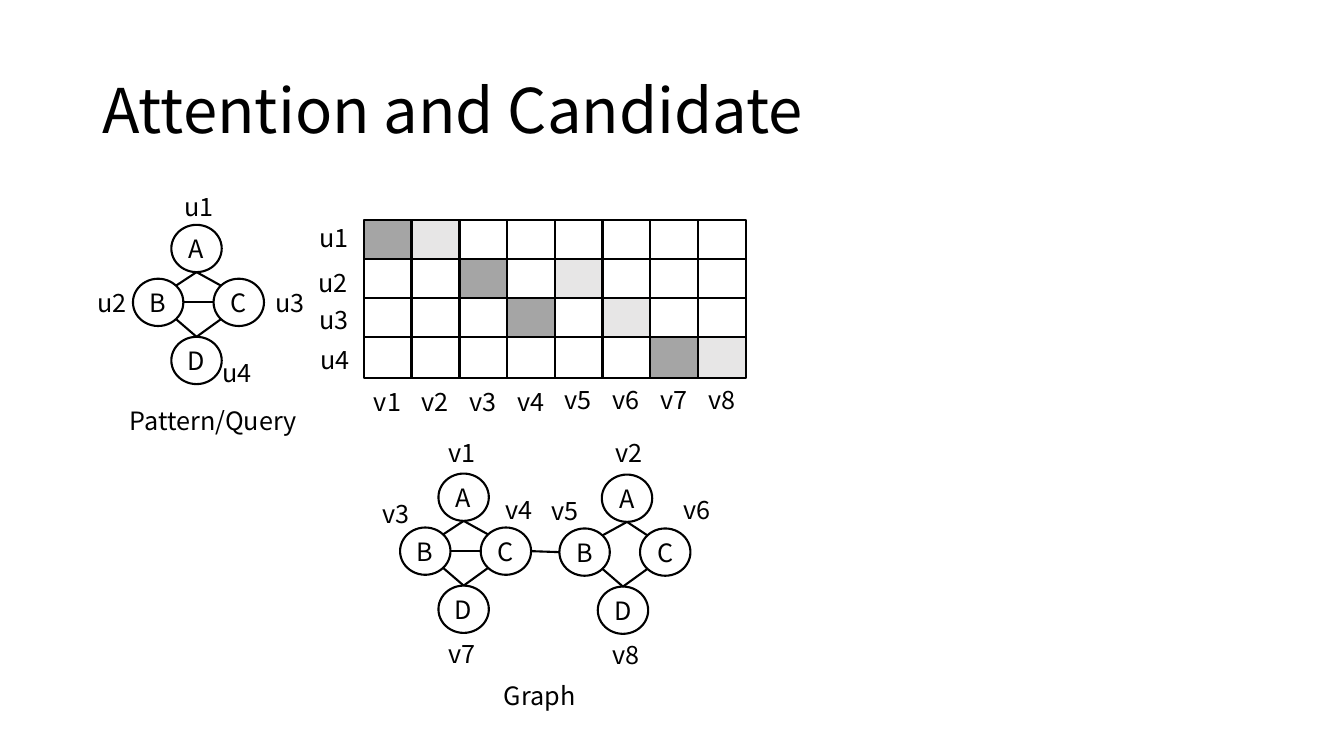
from dataclasses import dataclass
from math import sqrt

from lxml import etree
from pptx import Presentation
from pptx.dml.color import RGBColor
from pptx.enum.shapes import MSO_CONNECTOR, MSO_SHAPE
from pptx.enum.text import MSO_ANCHOR, MSO_AUTO_SIZE, PP_ALIGN
from pptx.oxml.ns import qn
from pptx.util import Pt

STRAIGHT = MSO_CONNECTOR.STRAIGHT
RECT, OVAL = MSO_SHAPE.RECTANGLE, MSO_SHAPE.OVAL
MIDDLE = MSO_ANCHOR.MIDDLE
LEFT, CENTER = PP_ALIGN.LEFT, PP_ALIGN.CENTER
NO_FIT, FIT_TEXT = MSO_AUTO_SIZE.NONE, MSO_AUTO_SIZE.SHAPE_TO_FIT_TEXT

FONT = "Noto Sans CJK SC"
BLACK, WHITE, DARK, LIGHT = "000000", "FFFFFF", "A5A5A5", "E7E6E6"
LINE_WIDTH = 1.5
NODE_W, NODE_H = 36, 33.8
CELL_W, CELL_H = 34, 28.8
GRID_LEFT, GRID_TOP, COL_STEP, ROW_STEP = 260, 157, 34.1, 28
ROWS, COLS = 4, 8

Point = tuple[float, float]


@dataclass
class Label:
    text: str
    left: float
    top: float
    width: float = 44.6


@dataclass
class Diamond:
    """Nodes A, B, C, D placed around the top left corner of D."""
    left: float
    top: float
    apex_shift: float = 0
    has_middle_edge: bool = True

    def corner(self, name: str) -> Point:
        dx, dy = {"A": (self.apex_shift, -80), "B": (-27.4, -41.5),
                  "C": (30.2, -41.5), "D": (0, 0)}[name]
        return self.left + dx, self.top + dy

    def site(self, name: str, x: int, y: int) -> Point:
        """Point on a node's outline in direction x, y (each -1, 0 or 1)."""
        left, top = self.corner(name)
        reach = 0.5 / sqrt(x * x + y * y)
        return left + NODE_W * (0.5 + x * reach), top + NODE_H * (0.5 + y * reach)


# Attention weights by (row, column)
SHADES = {(0, 0): DARK, (1, 2): DARK, (2, 3): DARK, (3, 6): DARK,
          (0, 1): LIGHT, (1, 4): LIGHT, (2, 5): LIGHT, (3, 7): LIGHT}

QUERY = Diamond(122.4, 240.6)
GRAPH_LEFT = Diamond(313.2, 418.3)
GRAPH_RIGHT = Diamond(427, 419, 2.9, False)

LABELS = [
    # Query
    Label("u1", 124.6, 133.2), Label("u2", 62.6, 201.6),
    Label("u3", 189.4, 201.6), Label("u4", 151.9, 252),
    Label("Pattern/Query", 85.7, 285.8, 134),
    # Graph
    Label("v1", 313.2, 308.9), Label("v2", 432.7, 308.9),
    Label("v3", 266.4, 352.1), Label("v4", 354.2, 349.9),
    Label("v5", 386.6, 350.6), Label("v6", 481, 349.2),
    Label("v7", 313.2, 452.2), Label("v8", 430.6, 452.9),
    Label("Graph", 352.8, 482.4, 134),
    # Matrix rows
    Label("u1", 221, 155.5), Label("u2", 220.3, 187.2),
    Label("u3", 221, 213.8), Label("u4", 221.8, 242.6),
]
# Matrix columns
LABELS += [Label(f"v{i + 1}", GRID_LEFT + COL_STEP * i, 272.5 if i < 4 else 270.7)
           for i in range(COLS)]


def color(value: str) -> RGBColor:
    return RGBColor.from_string(value)


def set_font(p, size: float) -> None:
    p.font.name = FONT
    p.font.size = Pt(size)
    p.font.color.rgb = color(BLACK)


def add_box(slide, kind, left: float, top: float, width: float, height: float,
            fill: str):
    sp = slide.shapes.add_shape(kind, Pt(left), Pt(top), Pt(width), Pt(height))
    sp.shadow.inherit = False
    sp.fill.solid()
    sp.fill.fore_color.rgb = color(fill)
    sp.line.color.rgb = color(BLACK)
    sp.line.width = Pt(LINE_WIDTH)
    return sp


def add_edge(slide, start: Point, end: Point) -> None:
    line = slide.shapes.add_connector(STRAIGHT, *(Pt(v) for v in start + end))
    line.line.color.rgb = color(BLACK)
    line.line.width = Pt(LINE_WIDTH)
    etree.SubElement(line._element.spPr, qn("a:effectLst"))


def add_diamond(slide, d: Diamond) -> None:
    for name in "ACBD":
        sp = add_box(slide, OVAL, *d.corner(name), NODE_W, NODE_H, WHITE)
        tf = sp.text_frame
        tf.margin_left = tf.margin_right = tf.margin_top = tf.margin_bottom = 0
        tf.vertical_anchor = MIDDLE
        p = tf.paragraphs[0]
        p.text = name
        p.alignment = CENTER
        set_font(p, 18)
    for name, side in (("B", 1), ("C", -1)):
        add_edge(slide, d.site("A", 0, 1), d.site(name, side, -1))
        add_edge(slide, d.site(name, side, 1), d.site("D", 0, -1))
    if d.has_middle_edge:
        add_edge(slide, d.site("B", 1, 0), d.site("C", -1, 0))


def add_label(slide, label: Label) -> None:
    s = slide.shapes.add_textbox(Pt(label.left), Pt(label.top),
                                 Pt(label.width), Pt(28.8))
    tf = s.text_frame
    tf.word_wrap = True
    tf.auto_size = FIT_TEXT
    p = tf.paragraphs[0]
    p.text = label.text
    set_font(p, 18)


def add_title(slide, text: str) -> None:
    s = slide.shapes.title
    s.left, s.top, s.width, s.height = Pt(66), Pt(28.8), Pt(828), Pt(104.4)
    tf = s.text_frame
    tf.auto_size = NO_FIT
    tf.vertical_anchor = MIDDLE
    p = tf.paragraphs[0]
    p.text = text
    p.alignment = LEFT
    p.line_spacing = 0.9
    set_font(p, 44)


def main() -> None:
    prs = Presentation()
    prs.slide_width, prs.slide_height = Pt(960), Pt(540)
    slide = prs.slides.add_slide(prs.slide_layouts[5])
    add_title(slide, "Attention and Candidate")

    # Attention matrix
    for col in range(COLS):
        for row in range(ROWS):
            add_box(slide, RECT, GRID_LEFT + COL_STEP * col,
                    GRID_TOP + ROW_STEP * row, CELL_W, CELL_H,
                    SHADES.get((row, col), WHITE))

    # Query and graph
    for diamond in (QUERY, GRAPH_LEFT, GRAPH_RIGHT):
        add_diamond(slide, diamond)
    add_edge(slide, GRAPH_LEFT.site("C", 1, 0), GRAPH_RIGHT.site("B", -1, 0))

    for label in LABELS:
        add_label(slide, label)
    prs.save("out.pptx")


if __name__ == "__main__":
    main()
